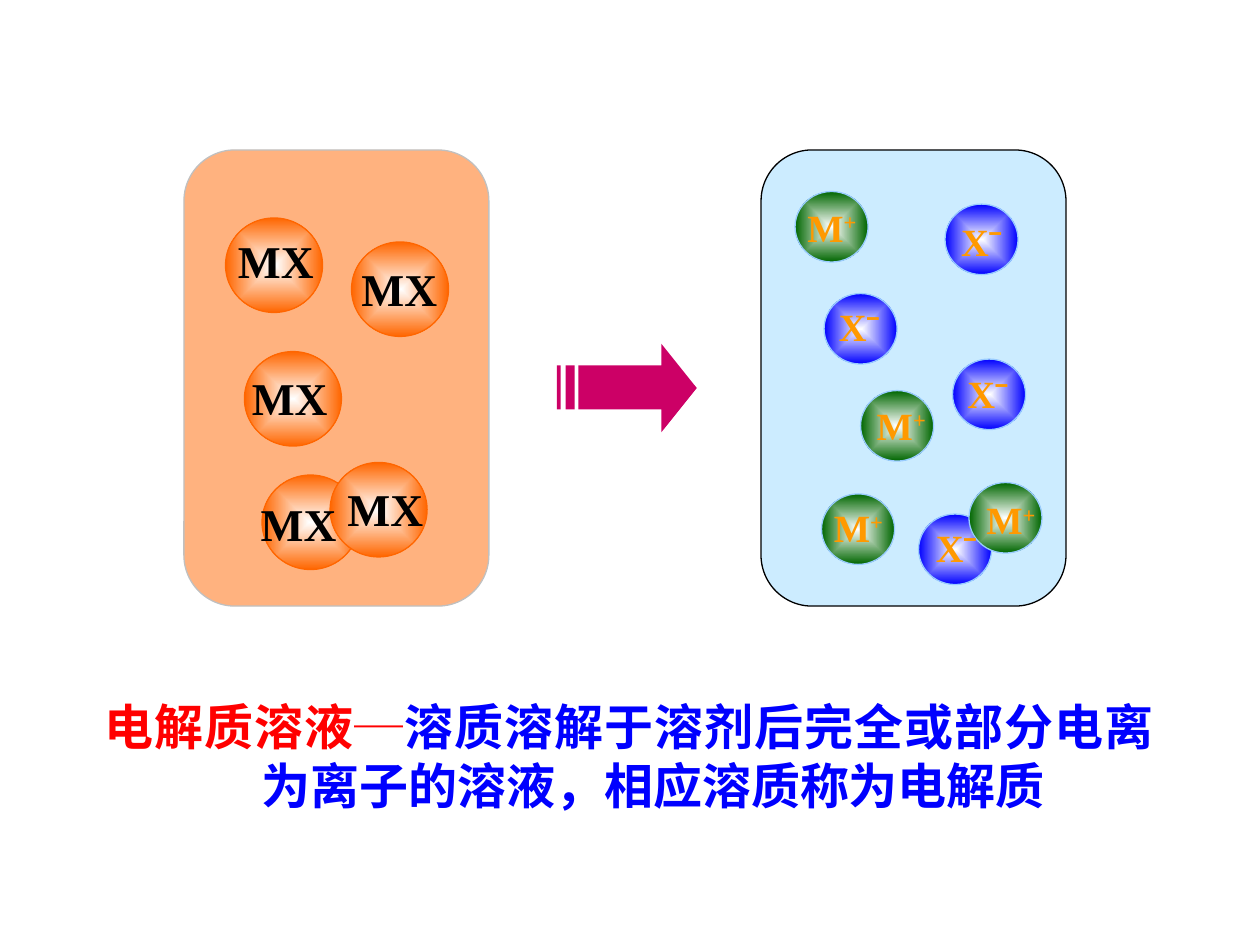
from lxml import etree
from pptx import Presentation
from pptx.dml.color import RGBColor
from pptx.enum.shapes import MSO_SHAPE
from pptx.enum.text import MSO_ANCHOR, MSO_AUTO_SIZE, PP_ALIGN
from pptx.oxml import parse_xml
from pptx.oxml.ns import qn
from pptx.util import Inches, Pt

ROUND, OVAL = MSO_SHAPE.ROUNDED_RECTANGLE, MSO_SHAPE.OVAL
MIDDLE, GROW = MSO_ANCHOR.MIDDLE, MSO_AUTO_SIZE.SHAPE_TO_FIT_TEXT
JUSTIFY = PP_ALIGN.JUSTIFY
FONT = "Times New Roman"
NS = "http://schemas.openxmlformats.org/drawingml/2006/main"

TITLE = [
    ("电解质溶液─", "FF0000"),
    ("溶质溶解于溶剂后完全或部分电离为离子的溶液，相应溶质称为电解质", "0000FF"),
]
ARROW = [
    [(5.25, 2.73), (5.25, 2.9), (4.59, 2.9), (4.59, 3.25),
     (5.25, 3.25), (5.25, 3.43), (5.53, 3.08)],
    [(4.49, 2.9), (4.49, 3.25), (4.56, 3.25), (4.56, 2.9)],
    [(4.42, 2.9), (4.42, 3.25), (4.45, 3.25), (4.45, 2.9)],
]
KINDS = {
    "MX": {"ball": "FF6600", "runs": ["MX"]},
    "M": {"ball": "006600", "runs": ["M", "+"]},
    "X": {"ball": "0000FF", "runs": ["Xˉ"]},
}
TANKS = [
    {"left": 1.46, "fill": "FF6600", "alpha": 50, "edge": "C0C0C0",
     "rim": "FF6600", "ball": (0.77, 0.75), "label": (1.03, 0.54),
     "size": 26, "ink": "000000",
     "balls": [("MX", 1.79, 1.73), ("MX", 1.94, 2.79), ("MX", 2.08, 3.77),
               ("MX", 2.79, 1.92), ("MX", 2.62, 3.67)],
     "labels": [("MX", 2.77, 2.02), ("MX", 1.79, 1.8), ("MX", 1.9, 2.89),
                ("MX", 2.66, 3.77), ("MX", 1.97, 3.89)]},
    {"left": 6.04, "fill": "CCECFF", "alpha": 100, "edge": "000000",
     "rim": "99CCFF", "ball": (0.58, 0.56), "label": (0.72, 0.47),
     "size": 22, "ink": "FF9900",
     "balls": [("M", 6.31, 1.52), ("X", 7.29, 4.08), ("M", 7.69, 3.83),
               ("M", 6.52, 3.92), ("X", 6.54, 2.33), ("X", 7.5, 1.62),
               ("X", 7.56, 2.85), ("M", 6.83, 3.1)],
     "labels": [("M", 6.86, 3.14), ("M", 6.52, 3.95), ("M", 7.73, 3.89),
                ("M", 6.31, 1.57), ("X", 7.58, 2.89), ("X", 6.56, 2.36),
                ("X", 7.53, 1.68), ("X", 7.33, 4.11)]},
]


def rgb(code):
    """Turn a hex string into a colour."""
    return RGBColor.from_string(code)


def add_run(para, text, size, color):
    """Add one bold run and return it."""
    run = para.add_run()
    run.text = text
    font = run.font
    font.name, font.size, font.bold = FONT, Pt(size), True
    font.color.rgb = rgb(color)
    return run


def add_form(shapes, kind, box, edge):
    """Add an outlined preset shape without shadow."""
    form = shapes.add_shape(kind, *map(Inches, box))
    form.shadow.inherit = False
    form.line.color.rgb = rgb(edge)
    form.line.width = Pt(0.75)
    return form


def add_ball(shapes, box, color, rim):
    """Add a ball that shades from a white centre to its colour."""
    ball = add_form(shapes, OVAL, box, rim)
    ball.fill.gradient()
    for stop, code in zip(ball.fill.gradient_stops, ("FFFFFF", color)):
        stop.color.rgb = rgb(code)
    lin = ball.element.spPr.find(qn("a:gradFill")).find(qn("a:lin"))
    lin.getparent().replace(lin, parse_xml(
        f'<a:path xmlns:a="{NS}" path="shape">'
        '<a:fillToRect l="50000" t="50000" r="50000" b="50000"/></a:path>'))


def add_label(shapes, box, parts, size, color):
    """Add a formula whose second part is raised."""
    frame = shapes.add_textbox(*map(Inches, box)).text_frame
    frame.word_wrap, frame.auto_size = True, GROW
    for rank, part in enumerate(parts):
        run = add_run(frame.paragraphs[0], part, size, color)
        if rank:
            run.font._element.set("baseline", "30000")


def add_tank(slide, tank):
    """Add a group of one tank with its balls and labels."""
    shapes = slide.shapes.add_group_shape().shapes
    body = add_form(shapes, ROUND, (tank["left"], 1.19, 2.42, 3.62), tank["edge"])
    body.adjustments[0] = 0.167
    body.fill.solid()
    body.fill.fore_color.rgb = rgb(tank["fill"])
    if tank["alpha"] < 100:
        tint = body.element.spPr.find(qn("a:solidFill"))[0]
        etree.SubElement(tint, qn("a:alpha"), val=str(tank["alpha"] * 1000))
    for kind, left, top in tank["balls"]:
        add_ball(shapes, (left, top, *tank["ball"]), KINDS[kind]["ball"], tank["rim"])
    for kind, left, top in tank["labels"]:
        add_label(shapes, (left, top, *tank["label"]), KINDS[kind]["runs"],
                  tank["size"], tank["ink"])


def add_title(slide):
    """Add the definition with a hanging indent."""
    box = slide.shapes.add_textbox(*map(Inches, (0.73, 5.48, 8.53, 1.03)))
    frame = box.text_frame
    frame.word_wrap, frame.auto_size = True, GROW
    frame.vertical_anchor = MIDDLE
    para = frame.paragraphs[0]
    para.alignment = JUSTIFY
    props = para._p.get_or_add_pPr()
    props.set("marL", str(Inches(1.25)))
    props.set("indent", str(Inches(-1.25)))
    for text, color in TITLE:
        add_run(para, text, 28, color)


def add_arrow(slide):
    """Add the striped arrow between the tanks."""
    pen = None
    for part in ARROW:
        start, *rest = [(Inches(x), Inches(y)) for x, y in part]
        if pen is None:
            pen = slide.shapes.build_freeform(*start)
        else:
            pen.move_to(*start)
        pen.add_line_segments(rest, close=True)
    arrow = pen.convert_to_shape()
    arrow.shadow.inherit = False
    arrow.fill.solid()
    arrow.fill.fore_color.rgb = rgb("CC0066")
    arrow.line.fill.background()


def main():
    """Build the slide and save it."""
    deck = Presentation()
    deck.slide_width, deck.slide_height = Inches(10), Inches(7.5)
    slide = deck.slides.add_slide(deck.slide_layouts[6])
    add_title(slide)
    add_arrow(slide)
    for tank in TANKS:
        add_tank(slide, tank)
    deck.save("out.pptx")


if __name__ == "__main__":
    main()
